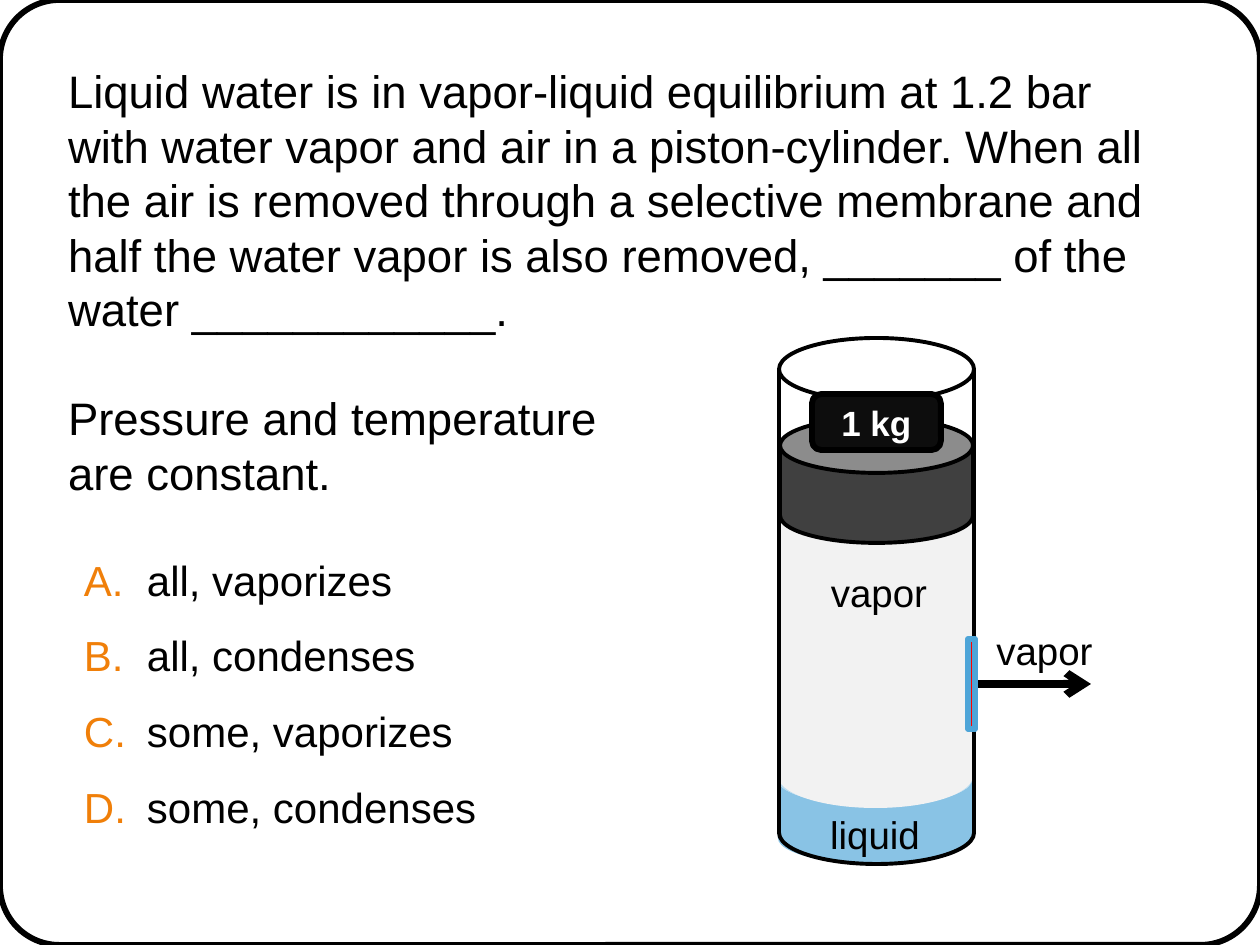
from lxml.etree import SubElement
from pptx import Presentation
from pptx.dml.color import RGBColor
from pptx.enum.shapes import MSO_CONNECTOR as Connector, MSO_SHAPE as Shape
from pptx.enum.text import MSO_ANCHOR as Anchor, MSO_AUTO_SIZE as AutoSize, PP_ALIGN as Align
from pptx.oxml.ns import qn
from pptx.util import Emu, Pt

QUESTION = [
    "Liquid water is in vapor-liquid equilibrium at 1.2 bar with water vapor and air "
    "in a piston-cylinder. When all the air is removed through a selective membrane and "
    "half the water vapor is also removed, _______ of the water ____________.",
    "Pressure and temperature",
    "are constant.",
]
ANSWERS = ["all, vaporizes", "all, condenses", "some, vaporizes", "some, condenses"]
BLACK = "000000"
ORANGE = "F07F09"


def px(length):
    return Emu(round(length * 914400 / 126))


def color(code):
    return RGBColor.from_string(code)


def set_all(target, values):
    for name, value in values.items():
        setattr(target, name, value)


def write(para, text, size, code=BLACK, bold=False, **layout):
    span = para.add_run()
    span.text = text
    set_all(span.font, {"name": "Arial", "size": Pt(size), "bold": bold})
    span.font.color.rgb = color(code)
    set_all(para, layout)


def set_frame(frame, margin, **values):
    sides = ("left", "top", "right", "bottom")
    set_all(frame, {f"margin_{side}": px(margin) for side in sides})
    set_all(frame, {"word_wrap": True, **values})


def add_form(page, kind, place, fill=None, line=None, weight=2.25, adjust=None):
    form = page.shapes.add_shape(kind, *map(px, place))
    form.shadow.inherit = False
    if adjust is not None:
        form.adjustments[0] = adjust
    if fill:
        form.fill.solid()
        form.fill.fore_color.rgb = color(fill)
    else:
        form.fill.background()
    if line:
        form.line.color.rgb = color(line)
        form.line.width = Pt(weight)
    else:
        form.line.fill.background()
    return form


def add_label(page, text, place, align):
    box = page.shapes.add_textbox(*map(px, place))
    box.text_frame.word_wrap = True
    box.text_frame.auto_size = AutoSize.SHAPE_TO_FIT_TEXT
    write(box.text_frame.paragraphs[0], text, 22, alignment=align)


def add_arrow(page, start, end):
    arrow = page.shapes.add_connector(Connector.STRAIGHT, *map(px, start + end))
    arrow.line.color.rgb = color(BLACK)
    arrow.line.width = Pt(4.5)
    SubElement(arrow.line._get_or_add_ln(), qn("a:tailEnd"), type="arrow")
    SubElement(arrow._element.spPr, qn("a:effectLst"))
    return arrow


def place_body(body, place):
    set_all(body, dict(zip(("left", "top", "width", "height"), map(px, place))))
    set_frame(body.text_frame, 0, auto_size=AutoSize.NONE, vertical_anchor=Anchor.TOP)
    return body.text_frame


def add_lines(frame, texts):
    for index, text in enumerate(texts):
        para = frame.paragraphs[0] if index == 0 else frame.add_paragraph()
        yield index, para, text


def set_indent(para, hang):
    props = para._p.get_or_add_pPr()
    props.set("marL", str(px(hang)))
    props.set("indent", str(-px(hang)))
    return props


def fill_question(body):
    frame = place_body(body, (68, 63, 1108, 462))
    for index, para, text in add_lines(frame, QUESTION):
        write(para, text, 26, space_before=Pt(31 if index == 1 else 0))
        SubElement(set_indent(para, 0), qn("a:buNone"))


def fill_answers(body):
    frame = place_body(body, (84, 529, 651, 320))
    for _, para, text in add_lines(frame, ANSWERS):
        write(para, text, 24, space_before=Pt(0), line_spacing=1.5)
        props = set_indent(para, 63)
        SubElement(SubElement(props, qn("a:buClr")), qn("a:srgbClr"), val=ORANGE)
        SubElement(props, qn("a:buFont"), typeface="Arial")
        SubElement(props, qn("a:buAutoNum"), type="alphaUcPeriod")


def draw_cylinder(page):
    add_form(page, Shape.CAN, (778, 754, 194, 110), "89C3E5", adjust=0.47)
    add_form(page, Shape.CAN, (778, 462, 195, 346), "F2F2F2", adjust=0.33)
    add_form(page, Shape.CAN, (780, 418, 193, 125), "404040", BLACK, adjust=0.44)
    add_form(page, Shape.CAN, (779, 338, 195, 526), line=BLACK, adjust=0.32)
    add_label(page, "vapor", (804, 563, 150, 59), Align.CENTER)


def draw_outlet(page):
    arrow = add_arrow(page, (975, 684), (1091, 684))
    membrane = add_form(page, Shape.RECTANGLE, (968, 639, 7, 90), "FF0000", "4EA5D8", 3.35)
    arrow.begin_connect(membrane, 3)


def draw_weight(page):
    weight = add_form(page, Shape.ROUNDED_RECTANGLE, (812, 394, 129, 56), "0D0D0D", BLACK, 3.35)
    set_frame(weight.text_frame, 0, vertical_anchor=Anchor.MIDDLE)
    write(weight.text_frame.paragraphs[0], "1 kg", 20, "FFFFFF", True, alignment=Align.CENTER)


def main():
    deck = Presentation()
    deck.slide_width, deck.slide_height = px(1260), px(945)
    page = deck.slides.add_slide(deck.slide_layouts.get_by_name("Two Content"))
    title, question, answers = page.placeholders
    title._element.getparent().remove(title._element)
    border = add_form(page, Shape.ROUNDED_RECTANGLE, (0, 0, 1260, 945), None, BLACK, 3.35, 0.063)
    question._element.addprevious(border._element)
    fill_question(question)
    fill_answers(answers)
    draw_cylinder(page)
    draw_outlet(page)
    add_label(page, "liquid", (795, 805, 160, 59), Align.CENTER)
    draw_weight(page)
    add_label(page, "vapor", (984, 621, 159, 59), Align.LEFT)
    deck.save("out.pptx")


if __name__ == "__main__":
    main()
